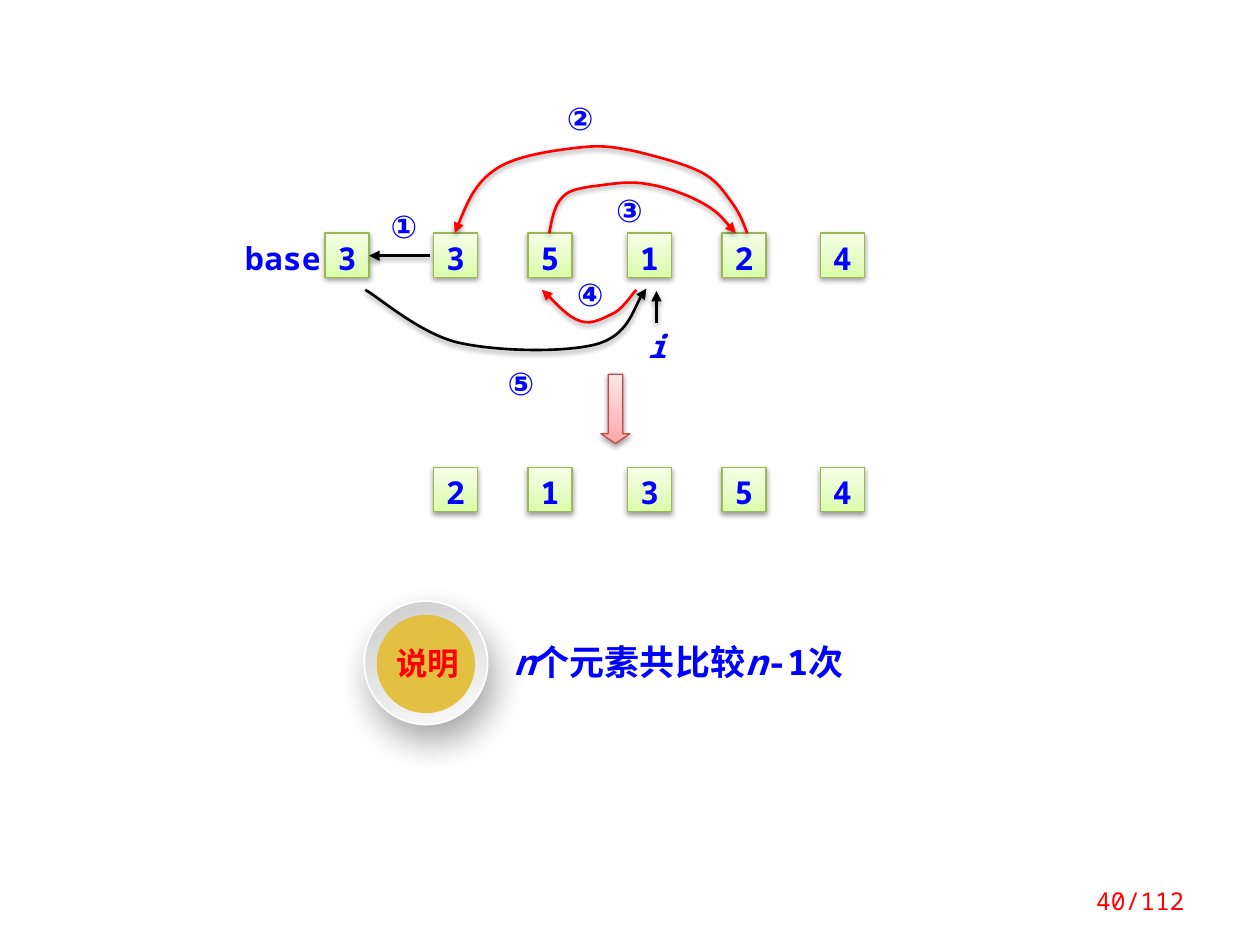
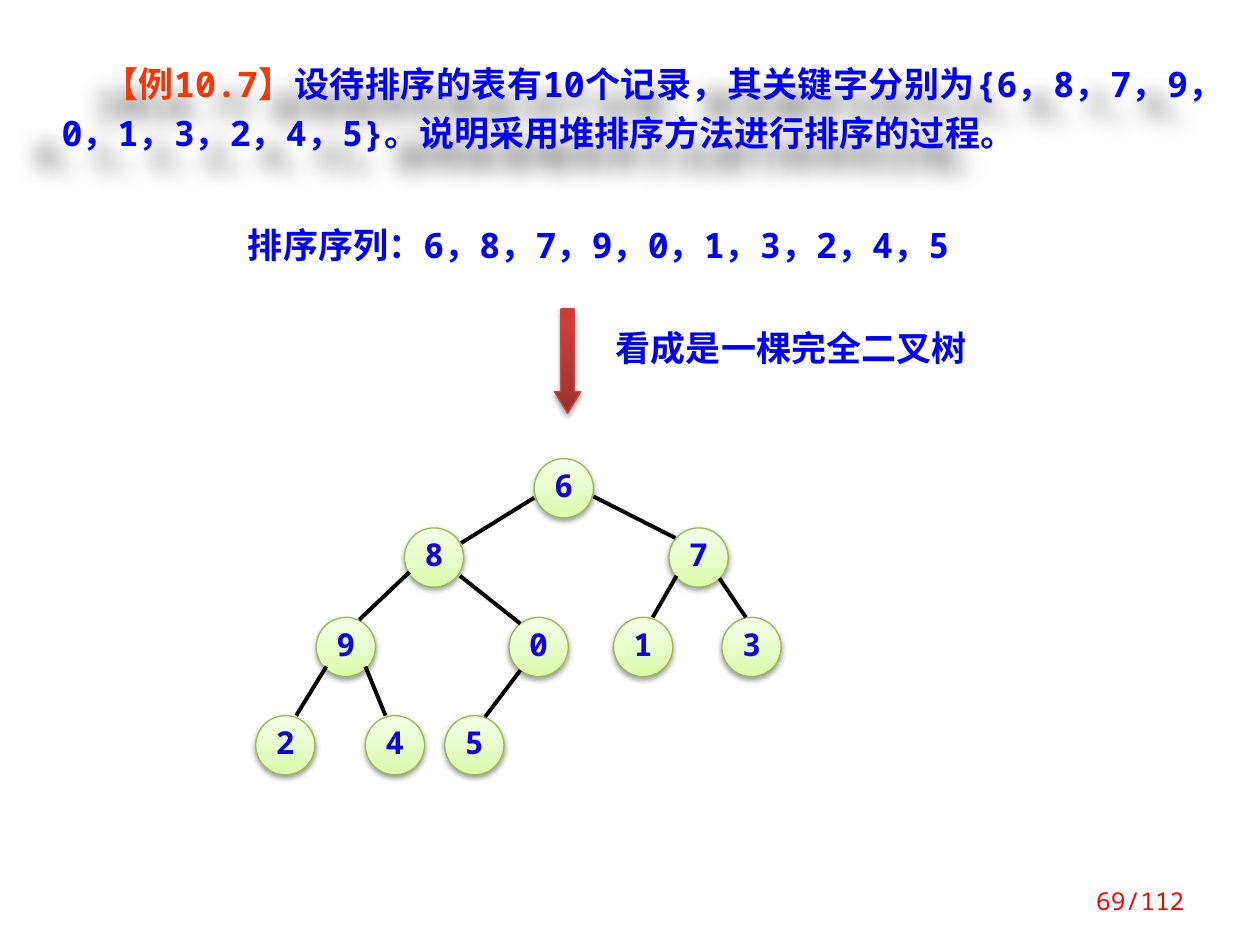
"""Build two sorting slides: one quick sort partition and a heap sort tree."""
from lxml.etree import SubElement
from pptx import Presentation
from pptx.dml.color import RGBColor as RGB
from pptx.enum.shapes import MSO_CONNECTOR as LINE, MSO_SHAPE as SHAPE
from pptx.enum.text import MSO_ANCHOR as ANCHOR, PP_ALIGN as ALIGN
from pptx.oxml.ns import qn
from pptx.util import Inches, Pt

BLUE, NODE_BLUE = RGB(0, 0, 0xFF), RGB(0x10, 0, 0xE4)
RED, ORANGE = RGB(0xFF, 0, 0), RGB(0xFF, 0x33, 0)
BLACK, WHITE = RGB(0, 0, 0), RGB(0xFF, 0xFF, 0xFF)
GOLD = RGB(0xE3, 0xBF, 0x42)
GREEN_EDGE, RED_EDGE = RGB(0x98, 0xB9, 0x55), RGB(0xBF, 0x4C, 0x48)
GREENS = [(0, RGB(0xDA, 0xFD, 0xA7)), (35, RGB(0xE4, 0xFC, 0xC2)), (100, RGB(0xF5, 0xFF, 0xE7))]
PINKS = [(0, RGB(0xFF, 0xA6, 0xA5)), (35, RGB(0xFF, 0xC0, 0xBF)), (100, RGB(0xFF, 0xE7, 0xE7))]
CRIMSONS = [(0, RGB(0x9C, 0x2F, 0x2D)), (80, RGB(0xCB, 0x3E, 0x3A)), (100, RGB(0xCE, 0x3B, 0x37))]
SILVERS = [(0, RGB(0xCC, 0xCC, 0xCC)), (100, RGB(0xFC, 0xFC, 0xFC))]

MONO, CJK = "Noto Sans Mono", "Noto Sans CJK SC"
SOFT = dict(alpha=38, blur=3.1, dist=1.6, angle=90)
DISC_SHADOW = dict(alpha=34, blur=20, dist=10, angle=70)
TEXT_SHADOW = dict(alpha=50, blur=12, dist=19, angle=140)

BOLD = dict(size=Pt(18), bold=True, name=MONO)
BODY = BOLD | dict(size=Pt(20))
FLUSH = dict(margin_left=0, margin_top=0, margin_right=0, margin_bottom=0, word_wrap=True)
CELL_FRAME = FLUSH | dict(margin_top=Inches(0.04))
NODE_FRAME = dict(vertical_anchor=ANCHOR.MIDDLE, word_wrap=False)
WRAPPED = dict(word_wrap=True)
CENTER = dict(alignment=ALIGN.CENTER)
TIGHT = dict(line_spacing=0.8)

CELL, NODE = 0.35, 0.47
COLUMNS = [3.44, 4.19, 4.98, 5.73, 6.51]
ROWS = [(1.85, "35124"), (3.71, "21354")]
BASE_CELL = (2.58, 1.85, "3")
LABELS = [
    ("①", 3.05, 1.64, 0.31), ("②", 4.45, 0.78, 0.31), ("③", 4.84, 1.51, 0.31),
    ("④", 4.53, 2.18, 0.31), ("⑤", 3.98, 2.88, 0.31), ("base", 1.87, 1.89, 0.75),
    ("i", 5.14, 2.59, 0.15),
]
POINTERS = [(3.41, 2.03, 2.93, 2.03), (5.21, 2.56, 5.21, 2.31)]
MOVES = [
    (RED, [(5.93, 1.85), (5.9, 1.77), (5.87, 1.69), (5.81, 1.61), (5.75, 1.53), (5.7, 1.44),
           (5.57, 1.37), (5.44, 1.3), (5.2, 1.24), (5.04, 1.2), (4.88, 1.17), (4.79, 1.15),
           (4.61, 1.17), (4.43, 1.19), (4.1, 1.23), (3.94, 1.34), (3.77, 1.45), (3.69, 1.65),
           (3.61, 1.85)]),
    (RED, [(4.36, 1.85), (4.38, 1.74), (4.4, 1.63), (4.46, 1.57), (4.51, 1.51), (4.58, 1.5),
           (4.69, 1.48), (4.8, 1.47), (4.98, 1.43), (5.13, 1.46), (5.28, 1.48), (5.47, 1.55),
           (5.59, 1.62), (5.71, 1.69), (5.79, 1.8), (5.84, 1.85)]),
    (RED, [(5.05, 2.3), (5.02, 2.33), (4.95, 2.44), (4.88, 2.48), (4.8, 2.52), (4.7, 2.58),
           (4.61, 2.55), (4.51, 2.52), (4.36, 2.35), (4.3, 2.3)]),
    (BLACK, [(2.9, 2.3), (3.02, 2.37), (3.34, 2.65), (3.64, 2.72), (3.95, 2.79), (4.49, 2.8),
             (4.74, 2.73), (4.98, 2.66), (5.05, 2.38), (5.13, 2.29)]),
]
REMARK = [("n", BLUE, True), ("个元素共比较", BLUE, False), ("n", BLUE, True), ("-1次", BLUE, False)]

EXAMPLE = [
    ("【例10.7】", ORANGE, False),
    ("设待排序的表有10个记录，其关键字分别为{6，8，7，9，0，1，3，2，4，5}。"
     "说明采用堆排序方法进行排序的过程。", BLUE, False),
]
SEQUENCE = "排序序列：6，8，7，9，0，1，3，2，4，5"
TREE_CAPTION = "看成是一棵完全二叉树"
TREE_LEVELS = [
    (3.64, [("6", 4.24)]),
    (4.19, [("8", 3.21), ("7", 5.31)]),
    (4.9, [("9", 2.51), ("0", 4.04), ("1", 4.87), ("3", 5.73)]),
    (5.68, [("2", 2.03), ("4", 2.9), ("5", 3.53)]),
]
BRANCHES = [
    (4.24, 3.95, 3.66, 4.31), (4.71, 3.94, 5.36, 4.27), (3.25, 4.54, 2.85, 4.92),
    (3.65, 4.57, 4.13, 4.95), (5.37, 4.57, 5.18, 4.9), (5.71, 4.59, 5.92, 4.9),
    (2.59, 5.29, 2.35, 5.68), (2.9, 5.29, 3.06, 5.68), (4.13, 5.32, 3.85, 5.69),
]


def assign(target, values):
    for key, value in values.items():
        setattr(target, key, value)


def add_color(parent, color):
    return SubElement(parent, qn("a:srgbClr"), val=str(color))


def cast_shadow(shape, alpha, blur, dist, angle):
    effects = shape._element.spPr.find(qn("a:effectLst"))
    outer = SubElement(effects, qn("a:outerShdw"), blurRad=str(Pt(blur)), dist=str(Pt(dist)),
                       dir=str(angle * 60000), algn="ctr", rotWithShape="0")
    SubElement(add_color(outer, BLACK), qn("a:alpha"), val=str(alpha * 1000))


def fill_gradient(shape, stops, angle):
    shape.fill.gradient()
    gradient = shape._element.spPr.find(qn("a:gradFill"))
    for child in list(gradient):
        gradient.remove(child)
    stop_list = SubElement(gradient, qn("a:gsLst"))
    for position, color in stops:
        add_color(SubElement(stop_list, qn("a:gs"), pos=str(position * 1000)), color)
    SubElement(gradient, qn("a:lin"), ang=str(angle * 60000), scaled="0")


def write(shape, runs, font, frame, paragraph):
    assign(shape.text_frame, frame)
    line = shape.text_frame.paragraphs[0]
    assign(line, paragraph)
    for words, color, italic in runs:
        run = line.add_run()
        run.text = words
        assign(run.font, font | dict(italic=italic))
        run.font.color.rgb = color
        SubElement(run._r.get_or_add_rPr(), qn("a:ea"), typeface=CJK)


def add_text(slide, at, runs, font, frame=WRAPPED, paragraph=TIGHT):
    box = slide.shapes.add_textbox(*map(Inches, at))
    write(box, runs, font, frame, paragraph)
    return box


def add_figure(slide, kind, at, fill, edge=None, angle=270, shadow=SOFT, width=0.75):
    figure = slide.shapes.add_shape(kind, *map(Inches, at))
    figure.shadow.inherit = False
    if isinstance(fill, list):
        fill_gradient(figure, fill, angle)
    else:
        figure.fill.solid()
        figure.fill.fore_color.rgb = fill
    if edge is None:
        figure.line.fill.background()
    else:
        figure.line.color.rgb = edge
        figure.line.width = Pt(width)
        cast_shadow(figure, **shadow)
    return figure


def add_cell(slide, left, top, key):
    cell = add_figure(slide, SHAPE.RECTANGLE, (left, top, CELL, CELL), GREENS, GREEN_EDGE)
    write(cell, [(key, BLUE, False)], BOLD, CELL_FRAME, CENTER)


def add_node(slide, left, top, key):
    node = add_figure(slide, SHAPE.OVAL, (left, top, NODE, NODE), GREENS, GREEN_EDGE)
    write(node, [(key, NODE_BLUE, False)], BOLD, NODE_FRAME, CENTER | TIGHT)


def add_down_arrow(slide, at, fill, head):
    arrow = add_figure(slide, SHAPE.DOWN_ARROW, at, fill, RED_EDGE)
    arrow.adjustments[1] = head


def point_arrow(stroke, color):
    stroke.line.color.rgb = color
    stroke.line.width = Pt(1.5)
    SubElement(stroke.line._get_or_add_ln(), qn("a:tailEnd"), type="triangle")
    cast_shadow(stroke, **SOFT)


def add_line(slide, ends):
    line = slide.shapes.add_connector(LINE.STRAIGHT, *map(Inches, ends))
    line.line.color.rgb = BLACK
    line.line.width = Pt(2.25)
    SubElement(line._element.spPr, qn("a:effectLst"))
    return line


def add_curve(slide, points, color):
    start, *rest = [(round(x * 100), round(y * 100)) for x, y in points]
    builder = slide.shapes.build_freeform(*start, scale=Inches(0.01))
    builder.add_line_segments(rest, close=False)
    curve = builder.convert_to_shape()
    curve.shadow.inherit = False
    curve.fill.background()
    segments = list(curve._element.iter(qn("a:lnTo")))
    for first in range(0, len(segments), 3):
        bezier = SubElement(segments[first].getparent(), qn("a:cubicBezTo"))
        for segment in segments[first:first + 3]:
            bezier.append(segment[0])
            segment.getparent().remove(segment)
    point_arrow(curve, color)


def add_page_number(slide, number):
    add_text(slide, (8.28, 6.95, 1.22, 0.4), [(f"{number}/112", RED, False)],
             dict(size=Pt(14), name=MONO), WRAPPED | dict(vertical_anchor=ANCHOR.MIDDLE),
             dict(alignment=ALIGN.RIGHT))


def build_partition(slide):
    for words, left, top, width in LABELS:
        label = add_figure(slide, SHAPE.RECTANGLE, (left, top, width, 0.31), WHITE)
        write(label, [(words, BLUE, words == "i")], BOLD, FLUSH, CENTER)
    add_cell(slide, *BASE_CELL)
    for top, keys in ROWS:
        for left, key in zip(COLUMNS, keys):
            add_cell(slide, left, top, key)
    for ends in POINTERS:
        point_arrow(add_line(slide, ends), BLACK)
    for color, points in MOVES:
        add_curve(slide, points, color)
    add_down_arrow(slide, (4.77, 2.97, 0.23, 0.55), PINKS, 0.339)
    add_text(slide, (3.98, 4.95, 3.13, 0.52), REMARK, BODY, paragraph=dict(line_spacing=Pt(30)))
    add_figure(slide, SHAPE.OVAL, (2.89, 4.77, 0.98, 0.98), SILVERS, WHITE, 70, DISC_SHADOW, 1)
    add_figure(slide, SHAPE.OVAL, (2.99, 4.88, 0.78, 0.78), GOLD)
    add_text(slide, (3.04, 5.12, 0.71, 0.34), [("说明", RED, False)], BOLD | dict(name=CJK),
             dict(word_wrap=False), CENTER | TIGHT)
    add_page_number(slide, 40)


def build_heap(slide):
    example = add_text(slide, (0.39, 0.39, 9.42, 0.89), EXAMPLE, BODY,
                       paragraph=dict(alignment=ALIGN.JUSTIFY, line_spacing=Pt(28)))
    layout = example.text_frame.paragraphs[0]._p.get_or_add_pPr()
    layout.set("indent", str(Inches(0.33)))
    layout.set("hangingPunct", "0")
    example.shadow.inherit = False
    cast_shadow(example, **TEXT_SHADOW)
    add_text(slide, (1.87, 1.79, 6.56, 0.37), [(SEQUENCE, BLUE, False)], BODY)
    for top, nodes in TREE_LEVELS:
        for key, left in nodes:
            add_node(slide, left, top, key)
    for ends in BRANCHES:
        add_line(slide, ends)
    add_down_arrow(slide, (4.4, 2.45, 0.21, 0.83), CRIMSONS, 0.814)
    add_text(slide, (4.79, 2.61, 3.94, 0.37), [(TREE_CAPTION, BLUE, False)],
             BODY | dict(name=CJK))
    add_page_number(slide, 69)


def main():
    deck = Presentation()
    deck.slide_width, deck.slide_height = Inches(10), Inches(7.5)
    for build in (build_partition, build_heap):
        build(deck.slides.add_slide(deck.slide_layouts[6]))
    deck.save("out.pptx")


if __name__ == "__main__":
    main()
